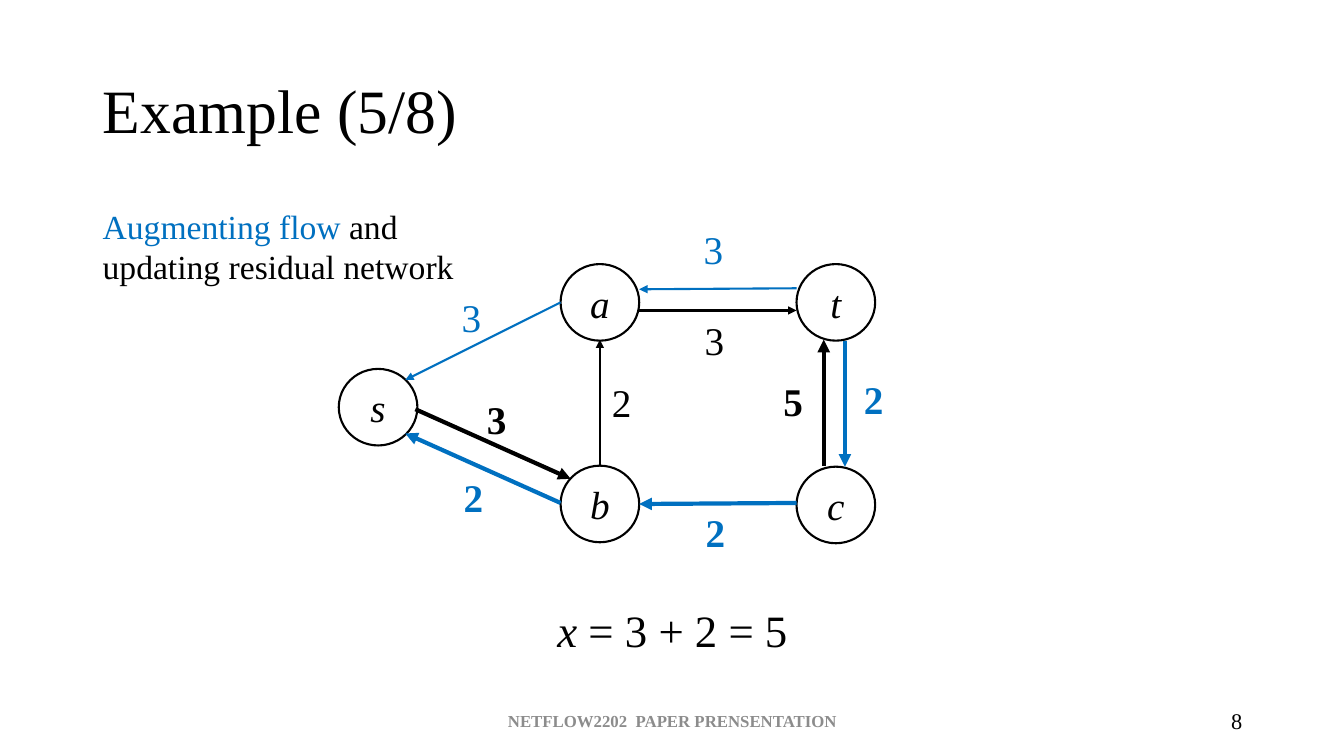
from pptx import Presentation
from pptx.dml.color import RGBColor
from pptx.enum.shapes import MSO_CONNECTOR, MSO_SHAPE
from pptx.enum.text import MSO_ANCHOR, PP_ALIGN
from pptx.oxml.ns import qn
from pptx.util import Inches, Pt
from lxml.etree import SubElement

BLACK = RGBColor(0x00, 0x00, 0x00)
BLUE = RGBColor(0x00, 0x70, 0xC0)
GRAY = RGBColor(0x8C, 0x8C, 0x8C)
FONT = "Times New Roman"
THIN, THICK = 1.5, 3

NODES = [
    ("s", 3.36, 3.66),
    ("a", 5.56, 2.62),
    ("t", 7.9, 2.62),
    ("b", 5.56, 4.62),
    ("c", 7.9, 4.63),
]
EDGES = [
    ((5.56, 4.99), (4.02, 4.3), BLUE, THICK),
    ((7.9, 4.99), (6.34, 5), BLUE, THICK),
    ((8.38, 3.38), (8.38, 4.63), BLUE, THICK),
    ((5.56, 3), (4.02, 3.77), BLUE, THIN),
    ((7.9, 2.86), (6.34, 2.87), BLUE, THIN),
    ((5.95, 4.62), (5.95, 3.37), BLACK, THIN),
    ((6.34, 3.08), (7.9, 3.08), BLACK, THIN),
    ((8.17, 4.62), (8.17, 3.37), BLACK, THICK),
    ((4.12, 4.06), (5.66, 4.75), BLACK, THICK),
]
CAPACITIES = [
    ("3", 4.48, 2.86, BLUE, False),
    ("3", 6.88, 2.19, BLUE, False),
    ("2", 4.5, 4.65, BLUE, True),
    ("2", 6.9, 4.99, BLUE, True),
    ("2", 8.47, 3.67, BLUE, True),
    ("2", 5.97, 3.7, BLACK, False),
    ("3", 6.89, 3.09, BLACK, False),
    ("5", 7.67, 3.69, BLACK, True),
    ("3", 4.73, 3.87, BLACK, True),
]


class FlowPage:
    """Draws a flow network on one slide in a single style."""

    def __init__(self, page):
        self.page = page

    def fill_text(self, shape, spans, size, align=PP_ALIGN.LEFT, anchor=MSO_ANCHOR.TOP):
        frame = shape.text_frame
        frame.word_wrap = True
        frame.vertical_anchor = anchor
        para = frame.paragraphs[0]
        para.alignment = align
        for text, color, bold, italic in spans:
            span = para.add_run()
            span.text = text
            span.font.name = FONT
            span.font.size = Pt(size)
            span.font.color.rgb = color
            span.font.bold = bold
            span.font.italic = italic

    def title(self, text):
        title = self.page.shapes.title
        title.left, title.top = Inches(0.92), Inches(0.4)
        title.width, title.height = Inches(11.5), Inches(1.45)
        self.fill_text(title, [(text, BLACK, False, False)], 44, anchor=MSO_ANCHOR.MIDDLE)
        title.text_frame.paragraphs[0].line_spacing = 0.9

    def text(self, left, top, width, height, spans, size, **layout):
        box = self.page.shapes.add_textbox(
            Inches(left), Inches(top), Inches(width), Inches(height))
        self.fill_text(box, spans, size, **layout)

    def node(self, name, left, top):
        circle = self.page.shapes.add_shape(
            MSO_SHAPE.OVAL, Inches(left), Inches(top), Inches(0.78), Inches(0.76))
        circle.shadow.inherit = False
        circle.fill.background()
        circle.line.color.rgb = BLACK
        circle.line.width = Pt(THIN)
        self.fill_text(circle, [(name, BLACK, False, True)], 28,
                       align=PP_ALIGN.CENTER, anchor=MSO_ANCHOR.MIDDLE)

    def edge(self, start, end, color, width):
        arrow = self.page.shapes.add_connector(
            MSO_CONNECTOR.STRAIGHT, *(Inches(value) for value in start + end))
        arrow.line.color.rgb = color
        arrow.line.width = Pt(width)
        properties = arrow._element.spPr
        SubElement(properties.get_or_add_ln(), qn("a:tailEnd"), type="triangle")
        SubElement(properties, qn("a:effectLst"))

    def capacity(self, value, left, top, color, bold):
        self.text(left, top, 0.61, 0.57, [(value, color, bold, False)], 28)


def main():
    deck = Presentation()
    deck.slide_width, deck.slide_height = Inches(13.33), Inches(7.5)
    flow = FlowPage(deck.slides.add_slide(deck.slide_layouts[5]))

    flow.title("Example (5/8)")
    flow.text(0.92, 1.99, 3.9, 0.91,
              [("Augmenting flow ", BLUE, False, False),
               ("and updating residual network", BLACK, False, False)], 24)
    for node in NODES:
        flow.node(*node)
    for edge in EDGES:
        flow.edge(*edge)
    for capacity in CAPACITIES:
        flow.capacity(*capacity)
    flow.text(4.87, 5.93, 3.6, 0.64,
              [("x", BLACK, False, True), (" = 3 + 2 = 5", BLACK, False, False)],
              32, align=PP_ALIGN.CENTER)
    flow.text(4.42, 6.95, 4.5, 0.4,
              [("NETFLOW2202  PAPER PRENSENTATION", GRAY, True, False)],
              12, align=PP_ALIGN.CENTER, anchor=MSO_ANCHOR.MIDDLE)
    flow.text(9.42, 6.95, 3, 0.4, [("8", BLACK, False, False)],
              16, align=PP_ALIGN.RIGHT, anchor=MSO_ANCHOR.MIDDLE)
    deck.save("out.pptx")


if __name__ == "__main__":
    main()
